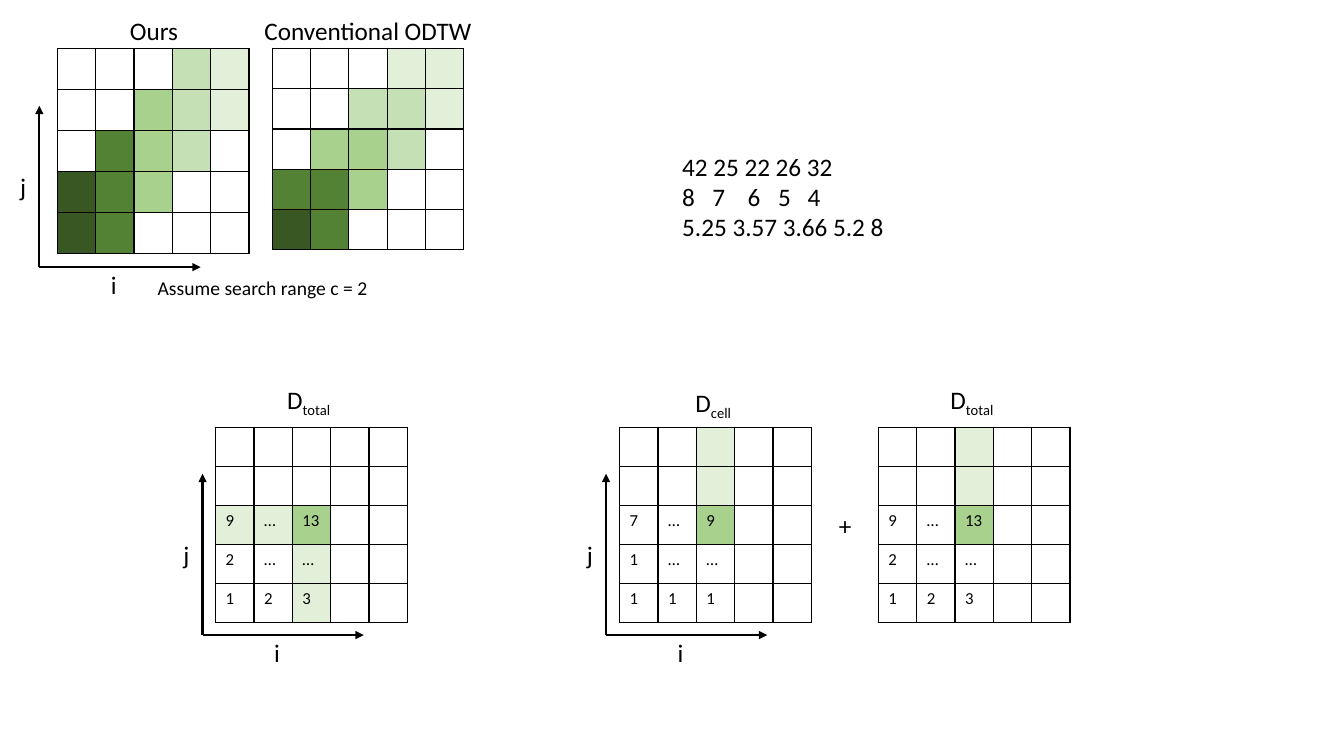
from dataclasses import dataclass

from lxml.etree import SubElement
from pptx import Presentation
from pptx.dml.color import RGBColor
from pptx.enum.shapes import MSO_CONNECTOR
from pptx.enum.text import MSO_AUTO_SIZE, PP_ALIGN
from pptx.oxml.ns import qn
from pptx.slide import Slide
from pptx.table import _Cell
from pptx.util import Pt


@dataclass(frozen=True)
class Theme:
    font: str = "Calibri"
    ink: str = "000000"
    # Greens from pale to dark, keyed by the digits of a shade map
    greens: tuple[str, ...] = ("E2F0D9", "C5E0B4", "A9D18E", "548235", "385723")
    label: float = 18
    note: float = 14
    cell: float = 12
    grid: float = 1
    arrow: float = 1.5


@dataclass(frozen=True)
class Grid:
    left: float
    top: float
    row: float  # row height
    shades: str  # one word per row: 1 pale to 5 dark, a dot for none
    values: tuple[str, ...] = ()  # texts of the lowest rows


@dataclass(frozen=True)
class Label:
    left: float
    top: float
    width: float
    text: str
    sub: str = ""
    size: float = Theme.label
    mid: bool = False


@dataclass(frozen=True)
class Axes:
    left: float
    base: float


THEME = Theme()
COUNT = 5
COLUMN = 27.4
REACH = 115.2  # length of an axis

TOTAL = ("9 … 13", "2 … …", "1 2 3")
CELL = ("7 … 9", "1 … …", "1 1 1")
CROSS = "..1.. ..1.. ..3.. ..... ....."
LOW = 305.2
GRIDS = (
    Grid(41, 34.5, 29.3, "...21 ..321 .432. 543.. 54..."),
    Grid(194.4, 34.5, 28.8, "...11 ..221 .332. 443.. 54..."),
    Grid(154, LOW, 27.85, "..... ..... 113.. ..1.. ..1..", TOTAL),
    Grid(442.6, LOW, 27.85, CROSS, CELL),
    Grid(627.4, LOW, 27.85, CROSS, TOTAL),
)
AXES = (Axes(28.1, 190.8), Axes(144.7, 453.6), Axes(432.9, 453.6))
LABELS = (
    Label(85.7, 7.2, 68.4, "Ours"),
    Label(180.7, 7.2, 164.2, "Conventional ODTW", mid=True),
    Label(81.4, 193.7, 212.4, "Assume search range c = 2", size=THEME.note, mid=True),
    Label(198, 270.7, 68.4, "D", "total"),
    Label(489.6, 272.9, 68.4, "D", "cell"),
    Label(671.8, 270.7, 68.4, "D", "total"),
    Label(587.5, 360.7, 32.4, "+", mid=True),
)
SUMS = ("42 25 22 26 32", "\t".join("87654"), "5.25 3.57 3.66 5.2 8")
STOPS = (21.6, 46.8, 68.6, 89.7)  # tab stops of the middle line


def add_run(para, text: str, size: float, base: int = 0) -> None:
    run = para.add_run()
    run.text = text
    run.font.name = THEME.font
    run.font.size = Pt(size)
    run.font.color.rgb = RGBColor.from_string(THEME.ink)
    if base:
        run.font._element.set("baseline", str(base))


def add_box(slide: Slide, left: float, top: float, width: float,
            height: float, wrap: bool = True):
    box = slide.shapes.add_textbox(Pt(left), Pt(top), Pt(width), Pt(height))
    box.text_frame.word_wrap = wrap
    box.text_frame.auto_size = MSO_AUTO_SIZE.SHAPE_TO_FIT_TEXT
    return box.text_frame


def draw_label(slide: Slide, label: Label) -> None:
    frame = add_box(slide, label.left, label.top, label.width, label.size * 1.2 + 7.2)
    para = frame.paragraphs[0]
    para.alignment = PP_ALIGN.CENTER if label.mid else PP_ALIGN.LEFT
    add_run(para, label.text, label.size)
    if label.sub:
        add_run(para, label.sub, label.size, -25000)


def add_edges(cell: _Cell) -> None:
    props = cell._tc.get_or_add_tcPr()
    for place, side in enumerate(("lnL", "lnR", "lnT", "lnB")):
        line = props.makeelement(qn(f"a:{side}"), {"w": str(Pt(THEME.grid))})
        paint = SubElement(line, qn("a:solidFill"))
        SubElement(paint, qn("a:srgbClr"), val=THEME.ink)
        props.insert(place, line)


def draw_grid(slide: Slide, grid: Grid) -> None:
    frame = slide.shapes.add_table(COUNT, COUNT, Pt(grid.left), Pt(grid.top),
                                   Pt(COLUMN * COUNT), Pt(grid.row * COUNT))
    table = frame.table
    table.first_row = table.horz_banding = False
    for column in table.columns:
        column.width = Pt(COLUMN)
    for row in table.rows:
        row.height = Pt(grid.row)

    skip = COUNT - len(grid.values)
    texts = [""] * skip + list(grid.values)
    for y, (shades, line) in enumerate(zip(grid.shades.split(), texts)):
        words = line.split()
        for x, shade in enumerate(shades):
            cell = table.cell(y, x)
            if shade == ".":
                cell.fill.background()
            else:
                cell.fill.solid()
                green = THEME.greens[int(shade) - 1]
                cell.fill.fore_color.rgb = RGBColor.from_string(green)
            add_edges(cell)
            para = cell.text_frame.paragraphs[0]
            if x < len(words):
                add_run(para, words[x], THEME.cell)
            else:  # keeps blank cells from growing
                SubElement(para._p, qn("a:endParaRPr"), sz=str(int(THEME.cell * 100)))


def draw_arrow(slide: Slide, start: tuple[float, float], end: tuple[float, float]) -> None:
    arrow = slide.shapes.add_connector(
        MSO_CONNECTOR.STRAIGHT, Pt(start[0]), Pt(start[1]), Pt(end[0]), Pt(end[1]))
    arrow.line.width = Pt(THEME.arrow)
    arrow.line.color.rgb = RGBColor.from_string(THEME.ink)
    SubElement(arrow.line._get_or_add_ln(), qn("a:tailEnd"), type="triangle")
    SubElement(arrow._element.spPr, qn("a:effectLst"))


def draw_axes(slide: Slide, axes: Axes) -> None:
    root = (axes.left, axes.base)
    draw_arrow(slide, root, (axes.left + REACH, axes.base))
    draw_arrow(slide, root, (axes.left, axes.base - REACH))
    draw_label(slide, Label(axes.left + 44, axes.base - 2.2, 25.9, "i"))
    draw_label(slide, Label(axes.left - 20.7, axes.base - 72, 25.9, "j"))


def draw_sums(slide: Slide) -> None:
    frame = add_box(slide, 480.2, 104.4, 159.8, 72.7, wrap=False)
    for place, text in enumerate(SUMS):
        para = frame.add_paragraph() if place else frame.paragraphs[0]
        if "\t" in text:
            tabs = SubElement(para._p.get_or_add_pPr(), qn("a:tabLst"))
            for stop in STOPS:
                SubElement(tabs, qn("a:tab"), pos=str(Pt(stop)), algn="l")
        add_run(para, text, THEME.label)


def main() -> None:
    deck = Presentation()
    deck.slide_width, deck.slide_height = Pt(960), Pt(540)
    slide = deck.slides.add_slide(deck.slide_layouts[6])

    # Cost grids
    for grid in GRIDS:
        draw_grid(slide, grid)
    # Axes with their letters
    for axes in AXES:
        draw_axes(slide, axes)
    # Titles, note and plus sign
    for label in LABELS:
        draw_label(slide, label)
    # Sums, counts and means
    draw_sums(slide)

    deck.save("out.pptx")


if __name__ == "__main__":
    main()
